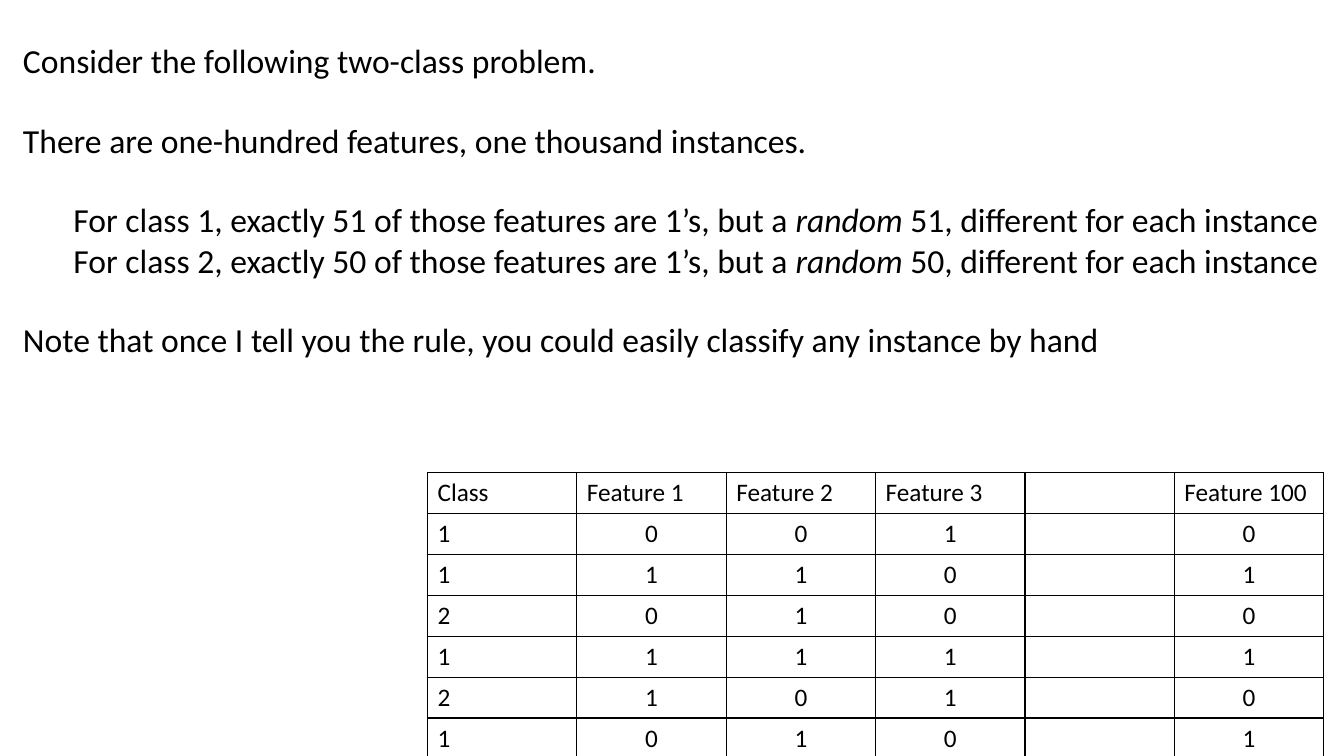
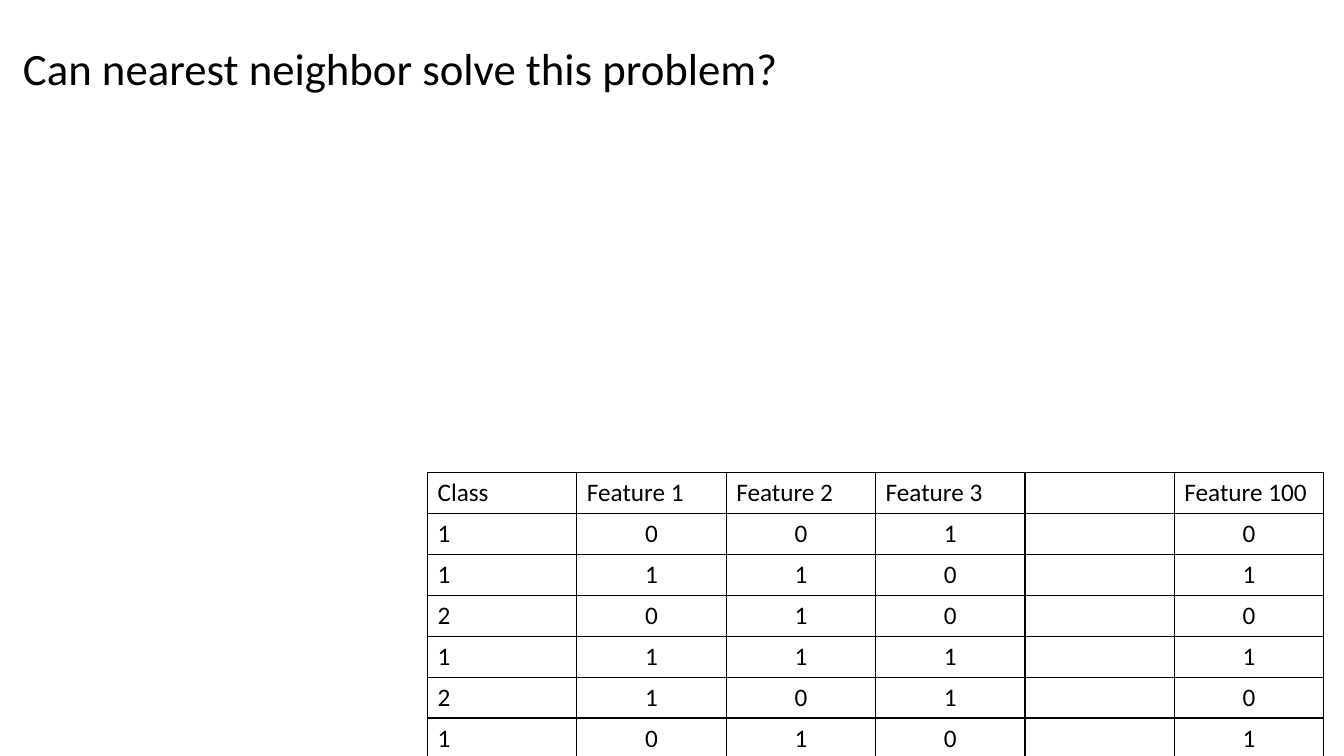
from lxml.etree import SubElement
from pptx import Presentation
from pptx.dml.color import RGBColor
from pptx.enum.text import MSO_AUTO_SIZE, PP_ALIGN
from pptx.oxml.ns import qn
from pptx.util import Inches, Pt

SLIDE_WIDTH, SLIDE_HEIGHT = 13.33, 7.5
FONT = "Calibri"
INK = "000000"
TEXT_LEFT, TEXT_TOP, TEXT_WIDTH = 0.13, 0.35, 13.07
TABLE_BOX = (4.24, 4.69, 8.89, 2.84)
PARAGRAPH_GAP = 28
INDENT = 0.5

FEATURE_ROWS = [
    ["Class", "Feature 1", "Feature 2", "Feature 3", "", "Feature 100"],
    ["1", "0", "0", "1", "", "0"],
    ["1", "1", "1", "0", "", "1"],
    ["2", "0", "1", "0", "", "0"],
    ["1", "1", "1", "1", "", "1"],
    ["2", "1", "0", "1", "", "0"],
    ["1", "0", "1", "0", "", "1"],
]


def class_rule(label, count):
    """Return the runs of one class description, as (text, italic) pairs."""
    return [
        (f"For class {label}, exactly {count} of those features are 1’s, but a ", False),
        ("random", True),
        (f" {count}, different for each instance", False),
    ]


# Each paragraph is (runs, indent level, whether a gap precedes it).
PROBLEM = [
    ([("Consider the following two-class problem.", False)], 0, False),
    ([("There are one-hundred features, one thousand instances.", False)], 0, True),
    (class_rule(1, 51), 1, True),
    (class_rule(2, 50), 1, False),
    ([("Note that once I tell you the rule, you could easily classify any instance by hand",
       False)], 0, True),
]
QUESTION = [([("Can nearest neighbor solve this problem?", False)], 0, False)]


def color(hex_string):
    return RGBColor.from_string(hex_string)


def style_font(font, size, italic=False):
    font.name = FONT
    font.size = Pt(size)
    font.bold = False
    font.italic = italic
    font.color.rgb = color(INK)


def add_text(slide, paragraphs, size, height):
    box = slide.shapes.add_textbox(
        *map(Inches, (TEXT_LEFT, TEXT_TOP, TEXT_WIDTH, height)))
    frame = box.text_frame
    frame.word_wrap = True
    frame.auto_size = MSO_AUTO_SIZE.SHAPE_TO_FIT_TEXT
    for index, (runs, level, has_gap) in enumerate(paragraphs):
        paragraph = frame.add_paragraph() if index else frame.paragraphs[0]
        paragraph.level = level
        paragraph.space_before = Pt(PARAGRAPH_GAP if has_gap else 0)
        properties = paragraph._p.get_or_add_pPr()
        properties.set("marL", str(Inches(INDENT * level)))
        properties.set("indent", "0")
        for text, italic in runs:
            run = paragraph.add_run()
            run.text = text
            style_font(run.font, size, italic)


def add_borders(cell, width=1):
    properties = cell._tc.get_or_add_tcPr()
    for side in ("lnL", "lnR", "lnT", "lnB"):
        line = SubElement(properties, qn(f"a:{side}"), w=str(Pt(width)))
        fill = SubElement(line, qn("a:solidFill"))
        SubElement(fill, qn("a:srgbClr"), val=INK)


def add_feature_table(slide):
    table = slide.shapes.add_table(
        len(FEATURE_ROWS), len(FEATURE_ROWS[0]), *map(Inches, TABLE_BOX)).table
    table.first_row = False
    table.horz_banding = False
    for row_index, values in enumerate(FEATURE_ROWS):
        for column_index, value in enumerate(values):
            cell = table.cell(row_index, column_index)
            add_borders(cell)
            cell.fill.background()
            cell.text_frame.text = value
            paragraph = cell.text_frame.paragraphs[0]
            if row_index and column_index:
                paragraph.alignment = PP_ALIGN.CENTER
            for run in paragraph.runs:
                style_font(run.font, 18)


def add_feature_slide(presentation, paragraphs, size, text_height):
    slide = presentation.slides.add_slide(presentation.slide_layouts[6])
    add_feature_table(slide)
    add_text(slide, paragraphs, size, text_height)


def main():
    presentation = Presentation()
    presentation.slide_width = Inches(SLIDE_WIDTH)
    presentation.slide_height = Inches(SLIDE_HEIGHT)
    add_feature_slide(presentation, PROBLEM, 24, 3.64)
    add_feature_slide(presentation, QUESTION, 32, 0.94)
    presentation.save("out.pptx")


if __name__ == "__main__":
    main()
